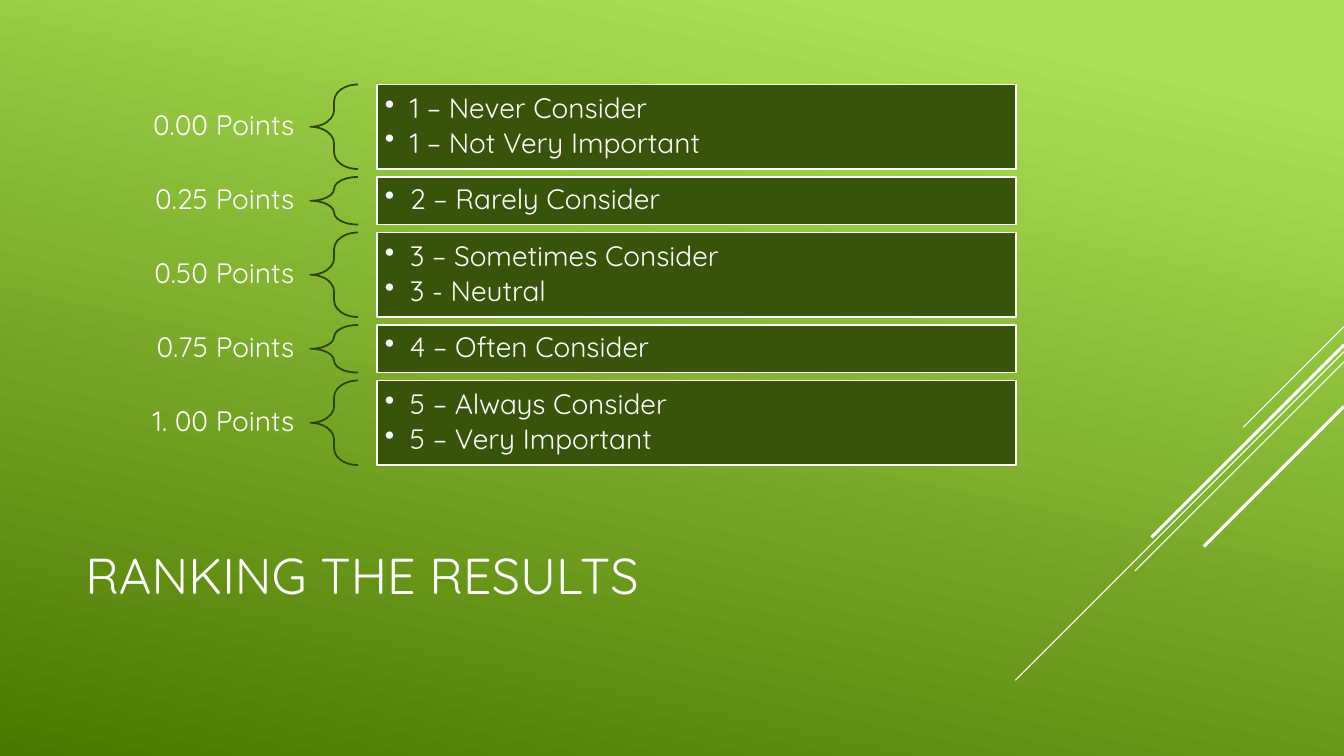
"""Build the slide that ranks survey answers by points."""
from lxml import etree
from pptx import Presentation
from pptx.dml.color import RGBColor
from pptx.enum.shapes import MSO_CONNECTOR, MSO_SHAPE
from pptx.enum.text import MSO_ANCHOR, PP_ALIGN
from pptx.oxml.ns import qn
from pptx.util import Cm, Pt

STRAIGHT = MSO_CONNECTOR.STRAIGHT
BRACE, RECTANGLE = MSO_SHAPE.LEFT_BRACE, MSO_SHAPE.RECTANGLE
MIDDLE = MSO_ANCHOR.MIDDLE
LEFT, RIGHT = PP_ALIGN.LEFT, PP_ALIGN.RIGHT

WHITE = RGBColor(0xFF, 0xFF, 0xFF)
LIME = RGBColor(0xAC, 0xDF, 0x55)
DEEP_GREEN = RGBColor(0x4C, 0x78, 0x00)
PANEL_GREEN = RGBColor(0x38, 0x54, 0x0A)
BRACE_GREEN = RGBColor(0x2D, 0x43, 0x08)
FONT = "Quicksand"

SLIDE_WIDTH, SLIDE_HEIGHT = 33.87, 19.05
MARGIN = 1.9
LABEL_WIDTH, LABEL_HEIGHT = 5.92, 1.1
BRACE_LEFT, BRACE_WIDTH = 7.82, 1.2
PANEL_LEFT, PANEL_WIDTH = 9.5, 16.1
ROW_TOP, ROW_GAP = 2.13, 0.2
ROW_HEIGHTS = {1: 1.2, 2: 2.13}

RANKS = [
    ("0.00 Points", ["1 – Never Consider", "1 – Not Very Important"]),
    ("0.25 Points", ["2 – Rarely Consider"]),
    ("0.50 Points", ["3 – Sometimes Consider", "3 - Neutral"]),
    ("0.75 Points", ["4 – Often Consider"]),
    ("1. 00 Points", ["5 – Always Consider", "5 – Very Important"]),
]
STREAKS = [
    (8.23, 2.54, 0.75),
    (8.86, 8.28, 0.75),
    (9.12, 5.27, 0.75),
    (8.69, 4.85, 2.25),
    (10.24, 3.53, 2.25),
]


def set_frame(frame, side, vertical):
    frame.word_wrap = True
    frame.vertical_anchor = MIDDLE
    frame.margin_left = frame.margin_right = Cm(side)
    frame.margin_top = frame.margin_bottom = Cm(vertical)


def write(paragraph, words, size, align):
    paragraph.alignment = align
    paragraph.line_spacing = 0.9
    run = paragraph.add_run()
    run.text = words
    run.font.name = FONT
    run.font.size = Pt(size)
    run.font.color.rgb = WHITE


prs = Presentation()
prs.slide_width, prs.slide_height = Cm(SLIDE_WIDTH), Cm(SLIDE_HEIGHT)
slide = prs.slides.add_slide(prs.slide_layouts[6])

backdrop = slide.background.fill
backdrop.gradient()
backdrop.gradient_angle = 258
for stop, position, colour in zip(backdrop.gradient_stops, (0.1, 1), (LIME, DEEP_GREEN)):
    stop.position = position
    stop.color.rgb = colour

for top, reach, weight in STREAKS:
    streak = slide.shapes.add_connector(
        STRAIGHT, Cm(SLIDE_WIDTH), Cm(top), Cm(SLIDE_WIDTH - reach), Cm(top + reach))
    streak.line.color.rgb = WHITE
    streak.line.width = Pt(weight)
    etree.SubElement(streak._element.spPr, qn("a:effectLst"))

title = slide.shapes.add_textbox(Cm(MARGIN), Cm(12.47), Cm(23.7), Cm(4.19))
set_frame(title.text_frame, 0.25, 0.13)
write(title.text_frame.paragraphs[0], "RANKING THE RESULTS", 36, LEFT)

row_top = ROW_TOP
for points, answers in RANKS:
    row_height = ROW_HEIGHTS[len(answers)]

    label = slide.shapes.add_textbox(
        Cm(MARGIN), Cm(row_top + (row_height - LABEL_HEIGHT) / 2),
        Cm(LABEL_WIDTH), Cm(LABEL_HEIGHT))
    set_frame(label.text_frame, 0.4, 0.15)
    write(label.text_frame.paragraphs[0], points, 20, RIGHT)

    brace = slide.shapes.add_shape(
        BRACE, Cm(BRACE_LEFT), Cm(row_top), Cm(BRACE_WIDTH), Cm(row_height))
    brace.adjustments[0] = 0.35
    brace.fill.background()
    brace.line.color.rgb = BRACE_GREEN

    panel = slide.shapes.add_shape(
        RECTANGLE, Cm(PANEL_LEFT), Cm(row_top), Cm(PANEL_WIDTH), Cm(row_height))
    panel.fill.solid()
    panel.fill.fore_color.rgb = PANEL_GREEN
    panel.line.color.rgb = WHITE
    for shape in (brace, panel):
        shape.line.width = Pt(1.25)
        shape.shadow.inherit = False

    set_frame(panel.text_frame, 0.2, 0.2)
    for index, answer in enumerate(answers):
        item = panel.text_frame.add_paragraph() if index else panel.text_frame.paragraphs[0]
        write(item, answer, 20, LEFT)
        item.space_after = Pt(3)
        properties = item._p.get_or_add_pPr()
        properties.set("marL", str(Cm(0.63)))
        properties.set("indent", str(Cm(-0.63)))
        etree.SubElement(properties, qn("a:buChar"), char="•")

    row_top += row_height + ROW_GAP

prs.save("out.pptx")
